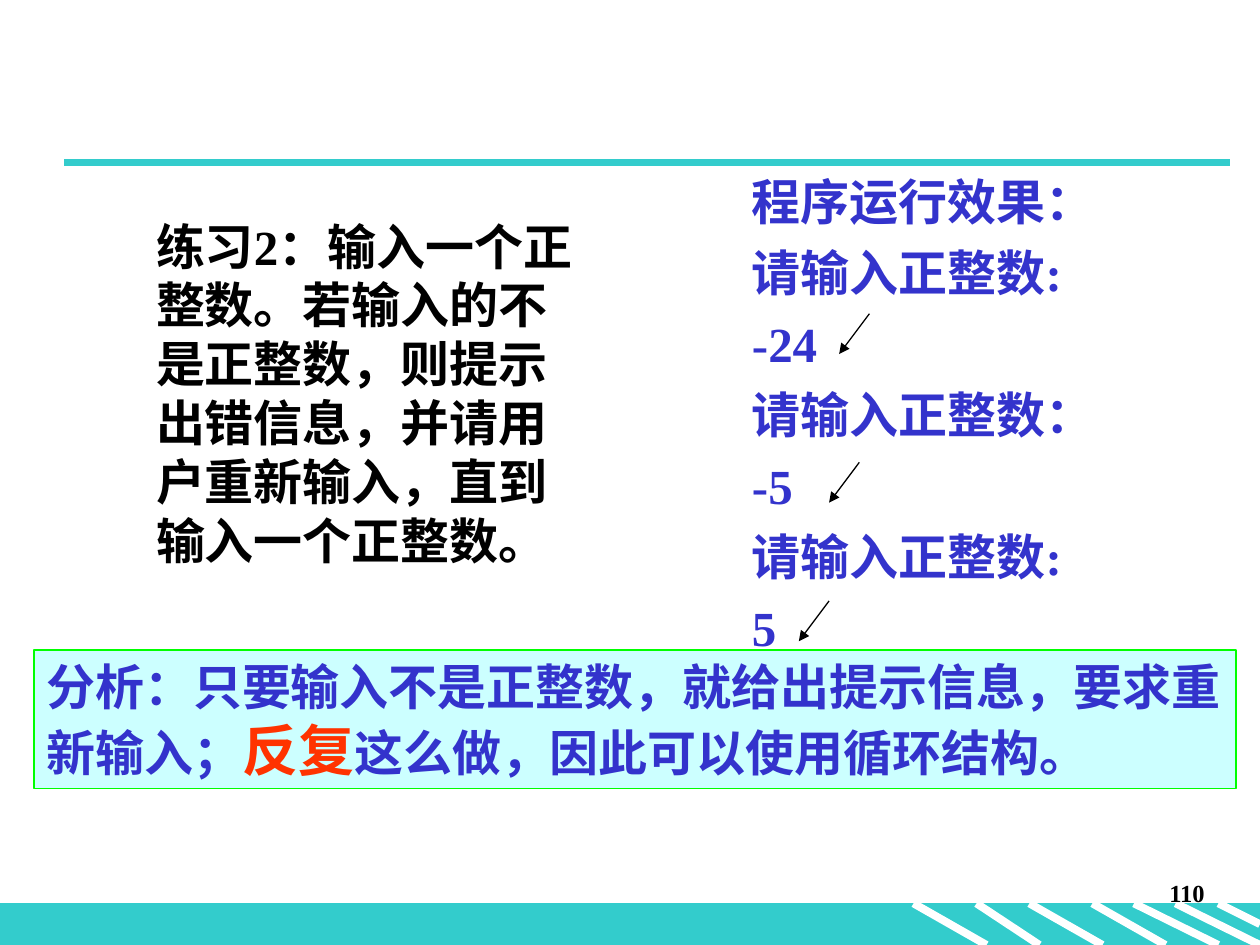
from dataclasses import dataclass

from lxml.etree import SubElement
from pptx import Presentation
from pptx.dml.color import RGBColor
from pptx.enum.shapes import MSO_CONNECTOR, MSO_SHAPE
from pptx.enum.text import MSO_ANCHOR, PP_ALIGN
from pptx.oxml.ns import qn
from pptx.util import Inches, Pt


@dataclass(frozen=True)
class Theme:
    """Colours, type sizes and line widths of the slide."""
    teal: str = "33CCCC"
    white: str = "FFFFFF"
    black: str = "000000"
    blue: str = "3333CC"
    red: str = "FF3300"
    pale: str = "CCFFFF"
    green: str = "00FF00"
    face: str = "Times New Roman"
    main: int = 28
    large: int = 32
    small: int = 14
    thin: float = 0.75
    thick: float = 4.5
    gap: int = 7


THEME = Theme()


def apply(item, form):
    """Set each attribute of item from the dict form."""
    for name, value in form.items():
        setattr(item, name, value)


def add_run(para, text, color, size=THEME.main):
    """Add one bold run to a paragraph."""
    font = para.add_run()
    font.text = text
    apply(font.font, {"name": THEME.face, "size": Pt(size), "bold": True})
    font.font.color.rgb = RGBColor.from_string(color)


def add_text(slide, box, **form):
    """Add a wrapping text box and return its frame."""
    frame = slide.shapes.add_textbox(*map(Inches, box)).text_frame
    apply(frame, {"word_wrap": True, **form})
    return frame


def add_block(slide, box, fill, edge):
    """Add a flat rectangle with a thin edge."""
    shape = slide.shapes.add_shape(MSO_SHAPE.RECTANGLE, *map(Inches, box))
    shape.shadow.inherit = False
    shape.fill.solid()
    shape.fill.fore_color.rgb = RGBColor.from_string(fill)
    shape.line.color.rgb = RGBColor.from_string(edge)
    shape.line.width = Pt(THEME.thin)
    return shape


def add_line(slide, ends, color, width, arrow=False):
    """Add a straight line, with an arrowhead at its end if asked."""
    line = slide.shapes.add_connector(MSO_CONNECTOR.STRAIGHT, *map(Inches, ends))
    line.line.color.rgb = RGBColor.from_string(color)
    line.line.width = Pt(width)
    if arrow:
        SubElement(line.line._get_or_add_ln(), qn("a:tailEnd"), type="triangle")
    SubElement(line._element.spPr, qn("a:effectLst"))


def add_footer(slide, box):
    """Draw the teal band with its white slashes."""
    left, top, width, height = box
    add_block(slide, box, THEME.teal, THEME.teal)
    slashes = [(7.25, 0.58, 1), (7.75, 0.5, 1), (8.17, 0.58, 1), (8.67, 0.58, 1),
               (9, 0.67, 1), (9.33, 0.67, 1), (9.67, 0.33, 0.5)]
    for start, run, part in slashes:
        ends = (left + start, top, left + start + run, top + height * part)
        add_line(slide, ends, THEME.white, THEME.thick)


def add_number(slide, box):
    """Write the page number."""
    para = add_text(slide, box).paragraphs[0]
    para.alignment = PP_ALIGN.RIGHT
    add_run(para, "110", THEME.black, THEME.small)


def add_task(slide, box):
    """Write the exercise."""
    frame = add_text(slide, box, vertical_anchor=MSO_ANCHOR.MIDDLE)
    add_run(frame.paragraphs[0], "练习2：输入一个正整数。若输入的不是正整数，则提示出错信息，"
            "并请用户重新输入，直到输入一个正整数。", THEME.black)


def add_trial(slide, box):
    """Write the sample session and mark each entry with an arrow."""
    left, top = box[:2]
    frame = add_text(slide, box)
    rows = ["程序运行效果：", "请输入正整数:", "-24", "请输入正整数：",
            "-5", "请输入正整数:", "5"]
    for index, row in enumerate(rows):
        para = frame.add_paragraph() if index else frame.paragraphs[0]
        if index:
            para.space_before = Pt(THEME.gap)
        add_run(para, row, THEME.blue)
    for across, down in [(1.03, 1.18), (0.95, 2.36), (0.71, 3.46)]:
        x, y = left + across, top + down
        add_line(slide, (x, y, x - 0.24, y + 0.32), THEME.black, THEME.thin, True)


def add_note(slide, box):
    """Draw the boxed analysis."""
    frame = add_block(slide, box, THEME.pale, THEME.green).text_frame
    apply(frame, {"word_wrap": True, "vertical_anchor": MSO_ANCHOR.TOP})
    para = frame.paragraphs[0]
    para.alignment = PP_ALIGN.LEFT
    add_run(para, "分析：只要输入不是正整数，就给出提示信息，要求重新输入；", THEME.blue)
    add_run(para, "反复", THEME.red, THEME.large)
    add_run(para, "这么做，因此可以使用循环结构。", THEME.blue)


def main():
    """Build and save the slide."""
    deck = Presentation()
    apply(deck, {"slide_width": Inches(10), "slide_height": Inches(7.5)})
    slide = deck.slides.add_slide(deck.slide_layouts[6])
    add_footer(slide, (0, 7.17, 10, 0.33))
    add_line(slide, (0.51, 1.29, 9.76, 1.29), THEME.teal, THEME.thick)
    add_number(slide, (7.58, 6.92, 2.08, 0.5))
    add_task(slide, (1.14, 1.62, 3.62, 2.99))
    add_trial(slide, (5.87, 1.31, 4.13, 5.04))
    add_note(slide, (0.27, 5.16, 9.54, 1.1))
    deck.save("out.pptx")


if __name__ == "__main__":
    main()
